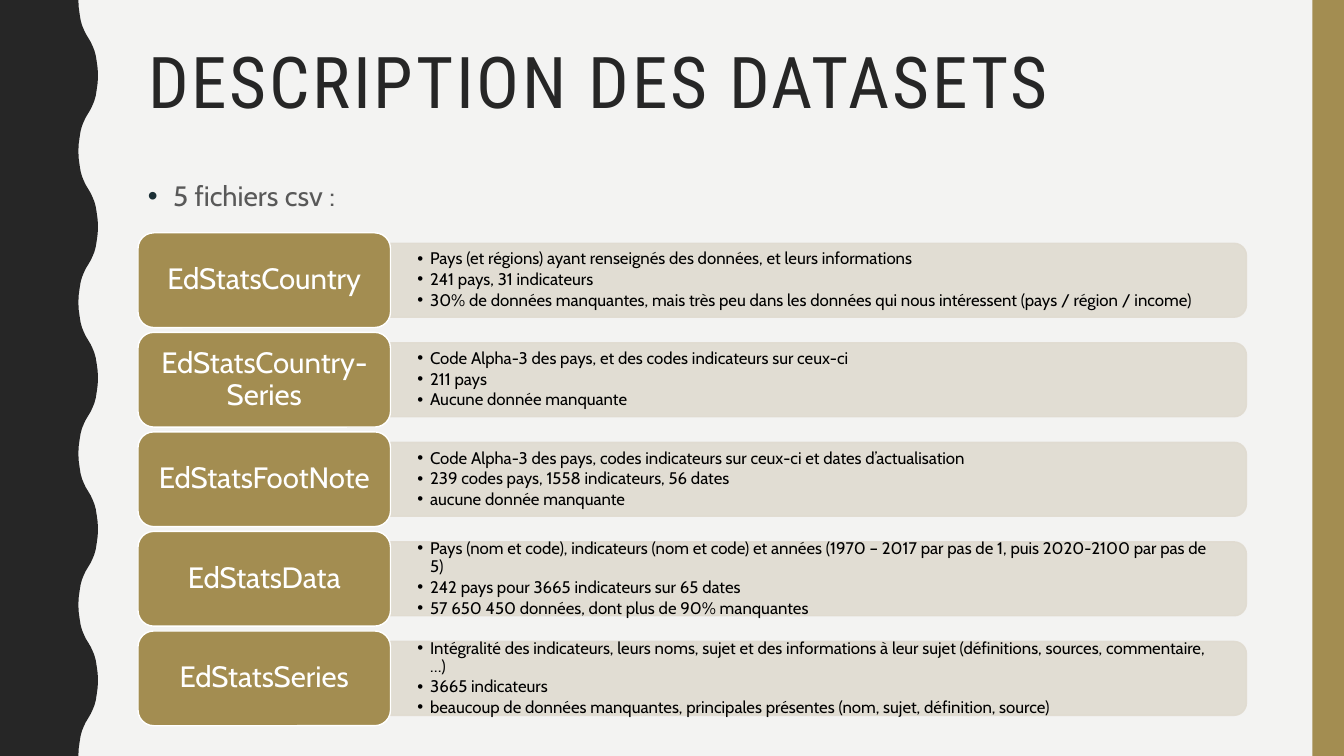
from dataclasses import dataclass

from lxml.etree import SubElement
from pptx import Presentation
from pptx.dml.color import RGBColor
from pptx.enum.shapes import MSO_SHAPE
from pptx.enum.text import MSO_ANCHOR, MSO_AUTO_SIZE, PP_ALIGN
from pptx.oxml.ns import qn
from pptx.util import Pt


@dataclass(frozen=True)
class Theme:
    """Colours, fonts and type sizes of the slide."""
    paper: str = "F3F3F2"
    dark: str = "262626"
    gold: str = "A38D51"
    sand: str = "E0DBD0"
    white: str = "FFFFFF"
    black: str = "000000"
    grey: str = "595959"
    bullet: str = "1B2F36"
    head_font: str = "Roboto Condensed"
    body_font: str = "Cabin"
    title: int = 51
    lead: int = 20
    label: int = 21
    detail: int = 12


T = Theme()
HALF_WAVE = [(0, 56), (5, 56.2), (10, 56.9), (14.4, 57.6), (18, 58.6),
             (21, 59.8), (24, 61.2), (27, 63)]
WAVES = 5
ROW_PITCH = 71.1
DATASETS = [
    ("EdStatsCountry", [
        "Pays (et régions) ayant renseignés des données, et leurs informations",
        "241 pays, 31 indicateurs",
        "30% de données manquantes, mais très peu dans les données qui nous intéressent (pays / région / income)"]),
    ("EdStatsCountry-Series", [
        "Code Alpha-3 des pays, et des codes indicateurs sur ceux-ci",
        "211 pays",
        "Aucune donnée manquante"]),
    ("EdStatsFootNote", [
        "Code Alpha-3 des pays, codes indicateurs sur ceux-ci et dates d’actualisation",
        "239 codes pays, 1558 indicateurs, 56 dates",
        "aucune donnée manquante"]),
    ("EdStatsData", [
        "Pays (nom et code), indicateurs (nom et code) et années (1970 – 2017 par pas de 1, puis 2020-2100 par pas de 5)",
        "242 pays pour 3665 indicateurs sur 65 dates",
        "57 650 450 données, dont plus de 90% manquantes"]),
    ("EdStatsSeries", [
        "Intégralité des indicateurs, leurs noms, sujet et des informations à leur sujet (définitions, sources, commentaire, …)",
        "3665 indicateurs",
        "beaucoup de données manquantes, principales présentes (nom, sujet, définition, source)"]),
]


def assign(obj, **formats):
    """Set each named attribute of an object."""
    for name, value in formats.items():
        setattr(obj, name, value)


def paint(sp, fill, line=None):
    """Give a shape a flat fill and an optional thin outline."""
    sp.shadow.inherit = False
    sp.fill.solid()
    sp.fill.fore_color.rgb = RGBColor.from_string(fill)
    if line:
        sp.line.color.rgb = RGBColor.from_string(line)
        sp.line.width = Pt(1)
    else:
        sp.line.fill.background()


def frame(sp, anchor, side, edge):
    """Set up the text frame of a shape with symmetric insets."""
    tf = sp.text_frame
    assign(tf, word_wrap=True, auto_size=MSO_AUTO_SIZE.NONE,
           vertical_anchor=anchor, margin_left=Pt(side), margin_right=Pt(side),
           margin_top=Pt(edge), margin_bottom=Pt(edge))
    return tf


def write(p, text, size, color, font=T.body_font, **formats):
    """Write one formatted run into a paragraph."""
    assign(p, **formats)
    r = p.add_run()
    r.text = text
    assign(r.font, size=Pt(size), name=font)
    r.font.color.rgb = RGBColor.from_string(color)
    return r


def add_bullet(p, indent, color):
    """Give a paragraph a hanging round bullet."""
    pPr = p._p.get_or_add_pPr()
    pPr.set("marL", str(Pt(indent)))
    pPr.set("indent", str(-Pt(indent)))
    SubElement(SubElement(pPr, qn("a:buClr")), qn("a:srgbClr"), val=color)
    SubElement(pPr, qn("a:buFont"), typeface="Arial")
    SubElement(pPr, qn("a:buChar"), char="•")


def add_wave(s, x, y, w, h):
    """Draw the dark band whose right edge is a repeated wave."""
    rise = HALF_WAVE + [(54 - dy, 126 - dx) for dy, dx in HALF_WAVE[-2::-1]]
    wave = rise + [(108 - dy, dx) for dy, dx in rise[-2::-1]]
    scale_x, scale_y = w / 70, h / (108 * WAVES)
    edge = [(x + dx * scale_x, y + (108 * i + dy) * scale_y)
            for i in range(WAVES) for dy, dx in wave]
    fb = s.shapes.build_freeform(Pt(x), Pt(y), scale=1)
    fb.add_line_segments([(Pt(a), Pt(b)) for a, b in edge + [(x, y + h)]])
    paint(fb.convert_to_shape(), T.dark)


def add_stripe(s, x, y, w, h):
    """Draw the gold stripe."""
    paint(s.shapes.add_shape(MSO_SHAPE.RECTANGLE, Pt(x), Pt(y), Pt(w), Pt(h)), T.gold)


def add_title(s, x, y, w, h):
    """Place and fill the title placeholder."""
    sp = s.shapes.title
    assign(sp, left=Pt(x), top=Pt(y), width=Pt(w), height=Pt(h))
    tf = frame(sp, MSO_ANCHOR.TOP, 7.2, 3.6)
    r = write(tf.paragraphs[0], "DESCRIPTION DES DATASETS", T.title, T.dark,
              T.head_font, alignment=PP_ALIGN.LEFT, line_spacing=0.9)
    r.font._element.set("spc", "200")


def add_lead(s, x, y, w, h):
    """Add the introductory bullet."""
    sp = s.shapes.add_textbox(Pt(x), Pt(y), Pt(w), Pt(h))
    p = frame(sp, MSO_ANCHOR.TOP, 7.2, 3.6).paragraphs[0]
    write(p, "5 fichiers csv :", T.lead, T.grey, line_spacing=1.1, space_before=Pt(7))
    add_bullet(p, 18, T.bullet)


def add_dataset(s, x, y, w, h, name, details):
    """Add one dataset row: a detail bar and its gold label."""
    label_w, bar_h, text_h = 180.4, 52.8, 47.5
    bar_x, bar_w, mid = x + label_w, w - label_w, y + h / 2
    bar = s.shapes.add_shape(
        MSO_SHAPE.ROUND_2_SAME_RECTANGLE, Pt(bar_x + (bar_w - bar_h) / 2),
        Pt(mid - bar_w / 2), Pt(bar_h), Pt(bar_w))
    bar.rotation = 90
    paint(bar, T.sand, T.sand)
    for clr in bar._element.spPr.iter(qn("a:srgbClr")):
        SubElement(clr, qn("a:alpha"), val="90000")

    box = s.shapes.add_textbox(Pt(bar_x), Pt(mid - text_h / 2), Pt(bar_w - 2.5), Pt(text_h))
    tf = frame(box, MSO_ANCHOR.MIDDLE, 19.2, 9.8)
    for i, detail in enumerate(details):
        p = tf.add_paragraph() if i else tf.paragraphs[0]
        write(p, detail, T.detail, T.black, level=1, line_spacing=0.9, space_after=Pt(1.8))
        add_bullet(p, 9, T.black)

    label = s.shapes.add_shape(MSO_SHAPE.ROUNDED_RECTANGLE, Pt(x), Pt(y), Pt(label_w), Pt(h))
    paint(label, T.gold, T.white)
    write(frame(label, MSO_ANCHOR.MIDDLE, 6.3, 3.2).paragraphs[0], name, T.label,
          T.white, alignment=PP_ALIGN.CENTER, line_spacing=0.9)


def main():
    """Build and save the slide."""
    prs = Presentation()
    assign(prs, slide_width=Pt(960), slide_height=Pt(540))
    s = prs.slides.add_slide(prs.slide_layouts[5])
    s.background.fill.solid()
    s.background.fill.fore_color.rgb = RGBColor.from_string(T.paper)
    add_wave(s, 0, 0, 70, 540)
    add_stripe(s, 937.5, 0, 22.5, 540)
    add_title(s, 98.6, 30.2, 801.4, 117.4)
    add_lead(s, 98.6, 121.7, 801.4, 283)
    for i, (name, details) in enumerate(DATASETS):
        add_dataset(s, 98.6, 166.3 + i * ROW_PITCH, 791.7, 67.7, name, details)
    prs.save("out.pptx")


if __name__ == "__main__":
    main()
